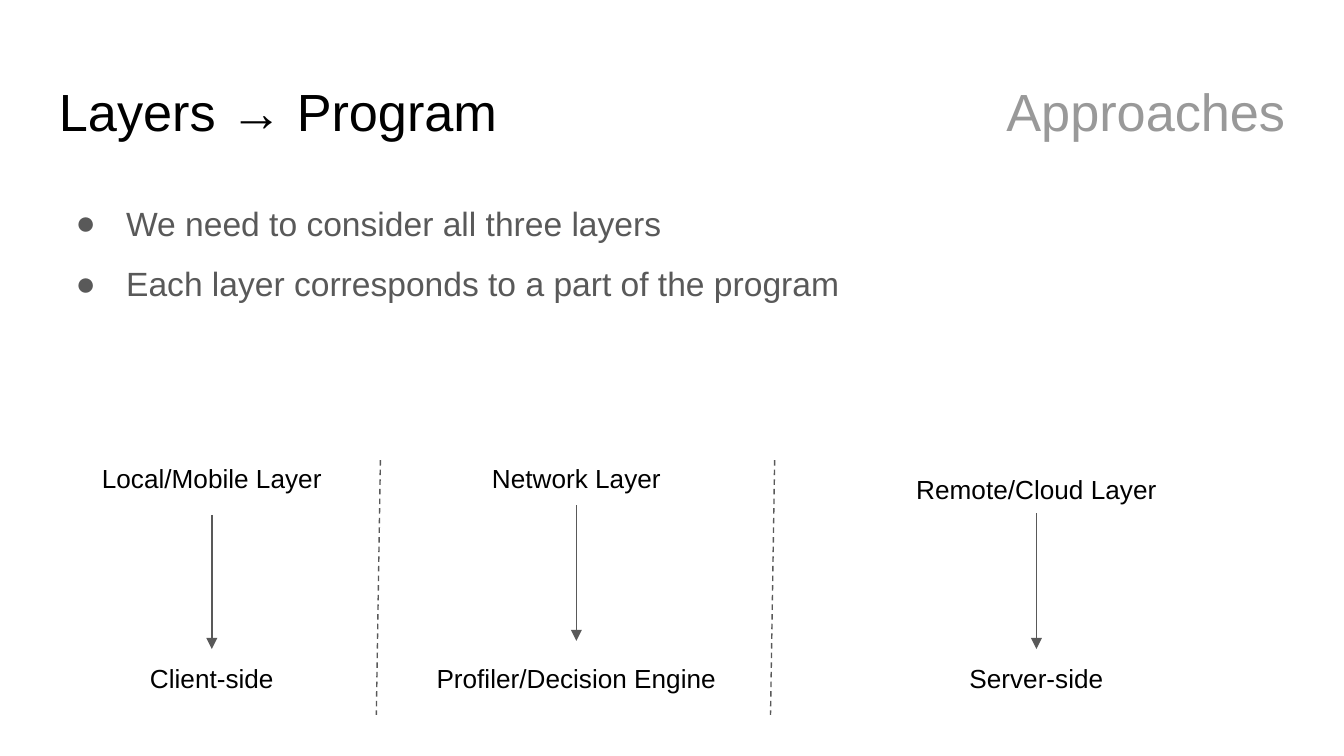
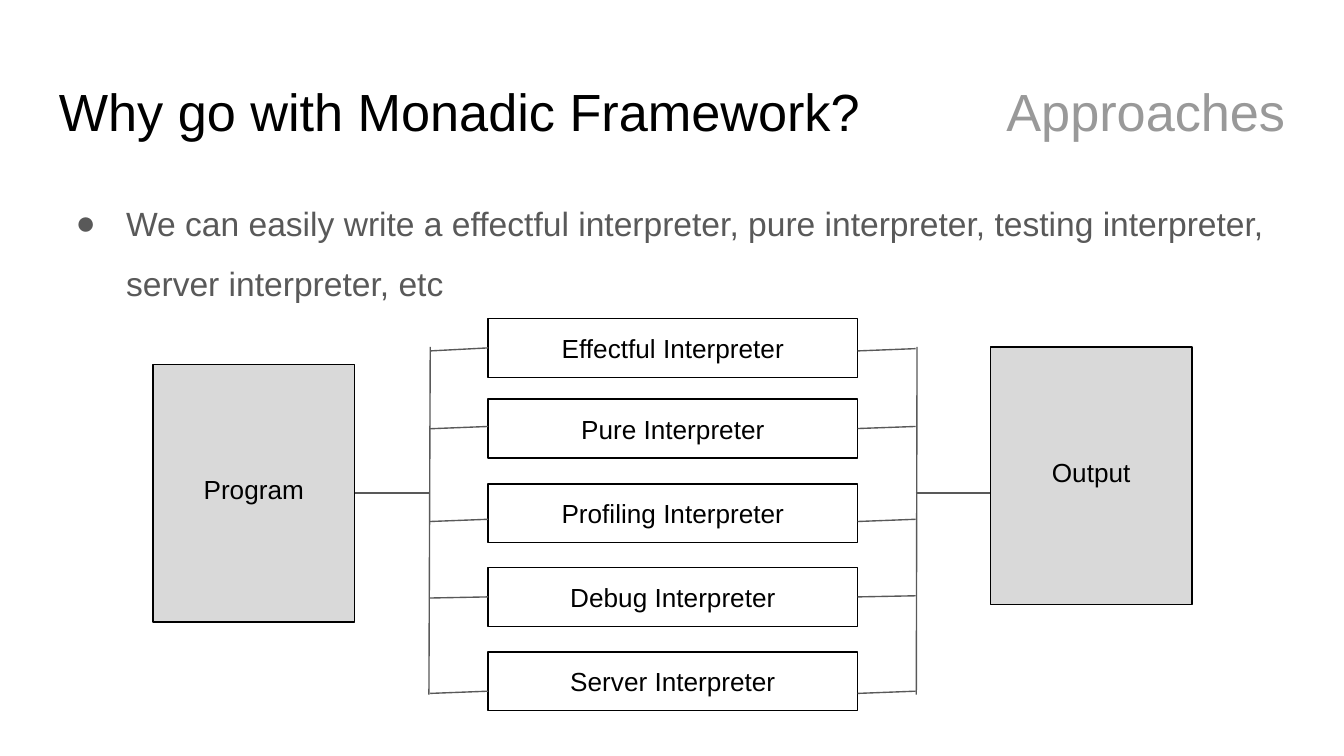
import pptx
import pptx.util
import pptx.dml.color
import pptx.enum.dml
import pptx.enum.shapes
import pptx.enum.text
import pptx.oxml
import pptx.oxml.ns
from lxml import etree

Pt = pptx.util.Pt
ALIGN = pptx.enum.text.PP_ALIGN
ANCHOR = pptx.enum.text.MSO_ANCHOR
COLORS = {
    "paper": "FFFFFF",
    "ink": "000000",
    "body": "595959",
    "section": "999999",
    "block": "D9D9D9",
}
FONT = "Arial"
INSET = 7.2
TOP, LEFT, BOTTOM, RIGHT = range(4)

MARGIN = 24.5
CONTENT_WIDTH = 671
SECTION_BOX = (386, 35.3, 309.5, 45.4)
LABEL_HEIGHT = 35.3


def rgb(name):
    return pptx.dml.color.RGBColor.from_string(COLORS[name])


def write(shape, lines, size, color="ink", align=ALIGN.LEFT, anchor=ANCHOR.TOP):
    frame = shape.text_frame
    frame.word_wrap = True
    frame.vertical_anchor = anchor
    frame.margin_left = frame.margin_right = Pt(INSET)
    frame.margin_top = frame.margin_bottom = Pt(INSET)
    frame.text = "\n".join(lines)
    for paragraph in frame.paragraphs:
        paragraph.alignment = align
        for run in paragraph.runs:
            run.font.name = FONT
            run.font.size = Pt(size)
            run.font.color.rgb = rgb(color)


def add_text(slide, box, lines, size, color="ink", align=ALIGN.LEFT):
    area = slide.shapes.add_textbox(*map(Pt, box))
    write(area, lines, size, color, align)
    return area


def add_block(slide, box, label, fill=None):
    block = slide.shapes.add_shape(
        pptx.enum.shapes.MSO_SHAPE.RECTANGLE, *map(Pt, box))
    block.shadow.inherit = False
    if fill:
        block.fill.solid()
        block.fill.fore_color.rgb = rgb(fill)
    else:
        block.fill.background()
    block.line.color.rgb = rgb("ink")
    block.line.width = Pt(0.75)
    write(block, [label], 14, align=ALIGN.CENTER, anchor=ANCHOR.MIDDLE)
    return block


def touches(x, y, shape, side):
    across = {LEFT: 0, RIGHT: 1}.get(side, 0.5)
    down = {TOP: 0, BOTTOM: 1}.get(side, 0.5)
    gap_x = abs(Pt(x) - shape.left - shape.width * across)
    gap_y = abs(Pt(y) - shape.top - shape.height * down)
    return max(gap_x, gap_y) <= Pt(1)


def add_line(slide, start, end, source=None, target=None, dashed=False, arrow=False):
    line = slide.shapes.add_connector(
        pptx.enum.shapes.MSO_CONNECTOR.STRAIGHT, *map(Pt, (*start, *end)))
    line.line.color.rgb = rgb("body")
    line.line.width = Pt(0.75)
    if dashed:
        line.line.dash_style = pptx.enum.dml.MSO_LINE.DASH
    if arrow:
        outline = line.line._get_or_add_ln()
        etree.SubElement(outline, pptx.oxml.ns.qn("a:tailEnd"), type="triangle")
    etree.SubElement(line._element.spPr, pptx.oxml.ns.qn("a:effectLst"))
    if source and touches(*start, *source):
        line.begin_connect(*source)
    if target and touches(*end, *target):
        line.end_connect(*target)


def add_bullets(slide, box, points):
    body = add_text(slide, box, points, 18, "body")
    for paragraph in body.text_frame.paragraphs:
        paragraph.line_spacing = 1.5
        properties = paragraph._p.get_or_add_pPr()
        properties.set("marL", str(Pt(36)))
        properties.set("indent", str(-Pt(27)))
        color = etree.SubElement(properties, pptx.oxml.ns.qn("a:buClr"))
        etree.SubElement(color, pptx.oxml.ns.qn("a:srgbClr"), val=COLORS["body"])
        etree.SubElement(properties, pptx.oxml.ns.qn("a:buFont"), typeface=FONT)
        etree.SubElement(properties, pptx.oxml.ns.qn("a:buChar"), char="●")


def add_page(deck, title, title_width, points, body_height):
    slide = deck.slides.add_slide(deck.slide_layouts[6])
    slide.background.fill.solid()
    slide.background.fill.fore_color.rgb = rgb("paper")
    _, top, _, height = SECTION_BOX
    add_text(slide, (MARGIN, top, title_width, height), [title], 28)
    add_bullets(slide, (MARGIN, 90.7, CONTENT_WIDTH, body_height), points)
    add_text(slide, SECTION_BOX, ["Approaches"], 28, "section", ALIGN.RIGHT)
    return slide


def add_layer_map(slide, box):
    left, top, width, height = box
    columns = [
        ("Local/Mobile Layer", "Client-side", 0, 178, 0, 34.5),
        ("Network Layer", "Profiler/Decision Engine", 179.3, 210, 0, 30.2),
        ("Remote/Cloud Layer", "Server-side", 390.5, width - 390.5, 6, 34.5),
    ]
    for layer, part, offset, span, layer_drop, arrow_drop in columns:
        x = left + offset
        if offset:
            add_line(slide, (x, top + 6), (x - 2.2, top + height), dashed=True)
        layer_label, part_label = [
            add_text(slide, (x, y, span, LABEL_HEIGHT), [label], 14, align=ALIGN.CENTER)
            for label, y in ((layer, top + layer_drop),
                             (part, top + height - LABEL_HEIGHT))
        ]
        center = x + span / 2
        arrow_top = top + arrow_drop
        add_line(slide, (center, arrow_top), (center, arrow_top + 72.7),
                 (layer_label, BOTTOM), (part_label, TOP), arrow=True)


def add_interpreter_flow(slide, box):
    left, top, width, height = box
    block_width, block_height = 108, 138.2
    card_width, card_height = 198, 31.6
    bus_gap, branch = 40.5, 31
    card_left = left + block_width + bus_gap + branch
    card_right = card_left + card_width
    left_bus, right_bus = card_left - branch, card_right + branch
    output_left = left + width - block_width
    stem_y = top + 93.6

    program = add_block(
        slide, (left, top + 24.5, block_width, block_height), "Program", "block")
    output = add_block(
        slide, (output_left, top + 15.2, block_width, block_height), "Output", "block")
    for block in (program, output):
        block.text_frame.margin_bottom = Pt(INSET + 4)

    interpreters = [
        ("Effectful", 0, 17.4),
        ("Pure", 43.2, 59.1),
        ("Profiling", 88.6, 108.8),
        ("Debug", 133.4, 149.8),
        ("Server", height - card_height, 200.9),
    ]
    for name, card_drop, branch_drop in interpreters:
        card = add_block(slide, (card_left, top + card_drop, card_width, card_height),
                         f"{name} Interpreter")
        low, high = top + branch_drop, top + branch_drop - 1.2
        add_line(slide, (left_bus, low), (card_left, high), target=(card, LEFT))
        add_line(slide, (card_right, low), (right_bus, high), source=(card, RIGHT))

    for bus, lean in ((left_bus, 0.7), (right_bus + 0.8, 0.4)):
        add_line(slide, (bus - lean, top + 201.6), (bus, top + 15.2))
    add_line(slide, (left + block_width, stem_y), (left_bus, stem_y),
             source=(program, RIGHT))
    add_line(slide, (right_bus, stem_y), (output_left, stem_y), target=(output, LEFT))


def main():
    deck = pptx.Presentation()
    deck.slide_width, deck.slide_height = Pt(720), Pt(405)

    layers = add_page(
        deck, "Layers → Program", 389,
        ["We need to consider all three layers",
         "Each layer corresponds to a part of the program"], 137)
    add_layer_map(layers, (MARGIN, 240.5, CONTENT_WIDTH, 142.5))

    framework = add_page(
        deck, "Why go with Monadic Framework?", 454,
        ["We can easily write a effectful interpreter, pure interpreter, "
         "testing interpreter, server interpreter, etc"], 80)
    add_interpreter_flow(framework, (82, 170.6, 556.6, 210.2))

    deck.save("out.pptx")


if __name__ == "__main__":
    main()
